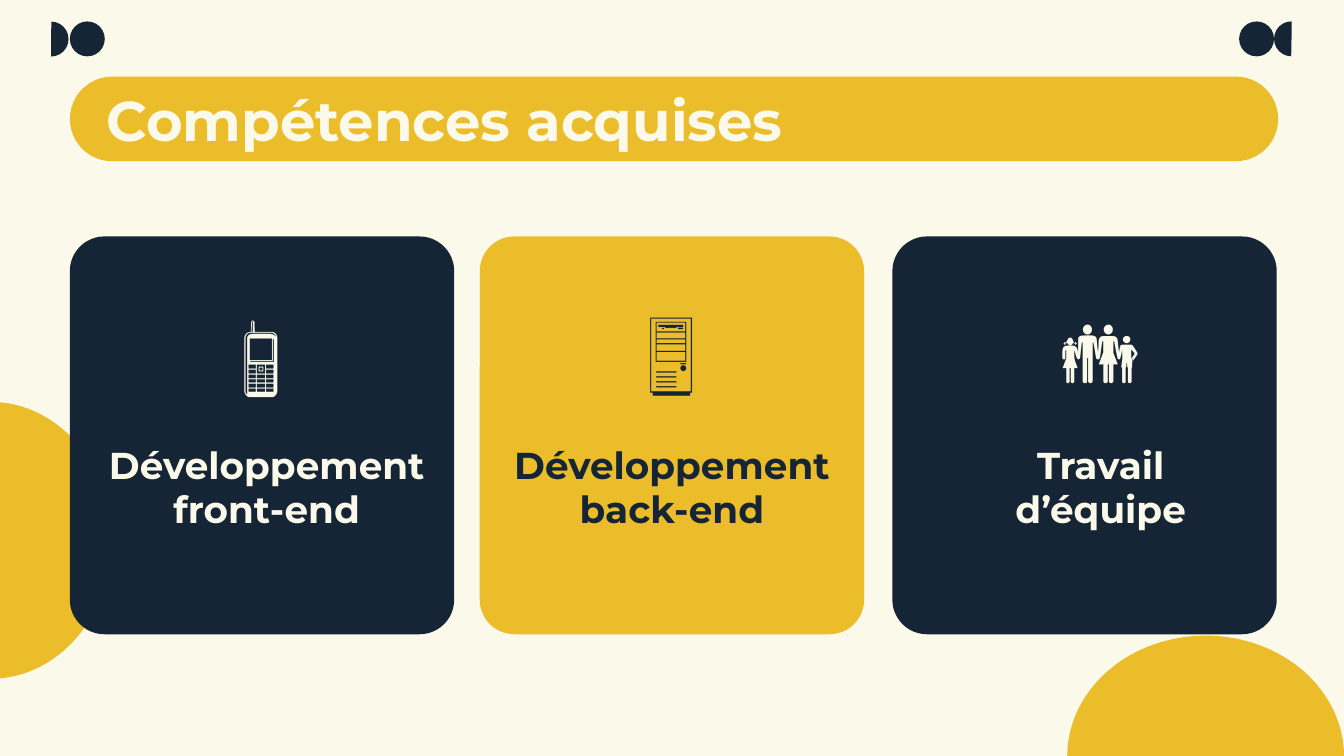
from pptx import Presentation
from pptx.dml.color import RGBColor
from pptx.enum import shapes, text
from pptx.util import Inches, Pt

COLORS = {"cream": "FBF9EA", "navy": "162535", "gold": "ECBD2A"}
FONT = "Montserrat"
KIND = shapes.MSO_SHAPE

TITLE = "Compétences acquises"
# Each box is left, top, width, height in inches.
SKILLS = [
    {"label": "Développement front-end", "label_box": (0.7, 3.42, 2.57, 0.4),
     "icon": "📱", "icon_box": (0.66, 2.41, 2.57, 0.4), "card_left": 0.52,
     "icon_bold": True, "icon_middle": True, "icon_inset": 0.1,
     "fill": "navy", "ink": "cream"},
    {"label": "Développement back-end", "label_box": (3.76, 3.42, 2.48, 0.4),
     "icon": "🖥️", "icon_box": (3.85, 2.22, 2.3, 0.8), "card_left": 3.57,
     "icon_bold": False, "icon_middle": False, "icon_inset": 0,
     "fill": "gold", "ink": "navy"},
    {"label": "Travail d’équipe", "label_box": (7.24, 3.42, 1.9, 0.4),
     "icon": "👪", "icon_box": (7.04, 2.22, 2.3, 0.8), "card_left": 6.64,
     "icon_bold": False, "icon_middle": False, "icon_inset": 0,
     "fill": "navy", "ink": "cream"},
]

# Pie angles are in units of 5/3 degree: both leave about half a disc.
SMALL_HALF = (54.58, 162)
LARGE_HALF = (53.46, 162)
DOT = 0.26
DECORATIONS = [
    (KIND.PIE, (0.25, 0.16, DOT, DOT), "navy", SMALL_HALF, 180),
    (KIND.OVAL, (0.52, 0.16, DOT, DOT), "navy", (), 0),
    (KIND.PIE, (9.48, 0.16, DOT, DOT), "navy", SMALL_HALF, 0),
    (KIND.OVAL, (9.22, 0.16, DOT, DOT), "navy", (), 0),
    (KIND.PIE, (8.07, 4.6, 1.8, 2.06), "gold", LARGE_HALF, 90),
    (KIND.PIE, (-0.97, 2.99, 1.8, 2.06), "gold", LARGE_HALF, 180),
]

CARD_TOP, CARD_WIDTH, CARD_HEIGHT = 1.76, 2.86, 2.96


def rgb(name):
    return RGBColor.from_string(COLORS[name])


def add_plain_shape(slide, kind, box, fill, adjustments=(), rotation=0):
    shape = slide.shapes.add_shape(kind, *map(Inches, box))
    shape.shadow.inherit = False
    shape.fill.solid()
    shape.fill.fore_color.rgb = rgb(fill)
    shape.line.fill.background()
    shape.rotation = rotation
    for index, value in enumerate(adjustments):
        shape.adjustments[index] = value


def add_text(slide, words, box, size, color, bold=True, centered=True,
             middle=True, inset=0.0):
    """Add one paragraph; inset is the top and bottom margin in inches."""
    frame = slide.shapes.add_textbox(*map(Inches, box)).text_frame
    frame.word_wrap = True
    frame.margin_left = frame.margin_right = 0
    frame.margin_top = frame.margin_bottom = Inches(inset)
    anchor = text.MSO_ANCHOR
    frame.vertical_anchor = anchor.MIDDLE if middle else anchor.TOP
    paragraph = frame.paragraphs[0]
    align = text.PP_ALIGN
    paragraph.alignment = align.CENTER if centered else align.LEFT
    run = paragraph.add_run()
    run.text = words
    run.font.name = FONT
    run.font.size = Pt(size)
    run.font.bold = bold
    run.font.color.rgb = rgb(color)


def main():
    presentation = Presentation()
    presentation.slide_width = Inches(10)
    presentation.slide_height = presentation.slide_width * 9 // 16
    slide = presentation.slides.add_slide(presentation.slide_layouts[6])
    slide.background.fill.solid()
    slide.background.fill.fore_color.rgb = rgb("cream")

    for decoration in DECORATIONS:
        add_plain_shape(slide, *decoration)

    add_plain_shape(slide, KIND.ROUNDED_RECTANGLE,
                    (0.52, 0.57, 8.99, 0.63), "gold", (0.5,))
    add_text(slide, TITLE, (0.79, 0.57, 8.43, 0.63), 30, "cream",
             centered=False)

    for skill in SKILLS:
        card = (skill["card_left"], CARD_TOP, CARD_WIDTH, CARD_HEIGHT)
        add_plain_shape(slide, KIND.ROUNDED_RECTANGLE, card, skill["fill"],
                        (0.09,))
        add_text(slide, skill["icon"], skill["icon_box"], 44, skill["ink"],
                 bold=skill["icon_bold"], middle=skill["icon_middle"],
                 inset=skill["icon_inset"])
        add_text(slide, skill["label"], skill["label_box"], 20, skill["ink"],
                 inset=0.1)

    presentation.save("out.pptx")


if __name__ == "__main__":
    main()
